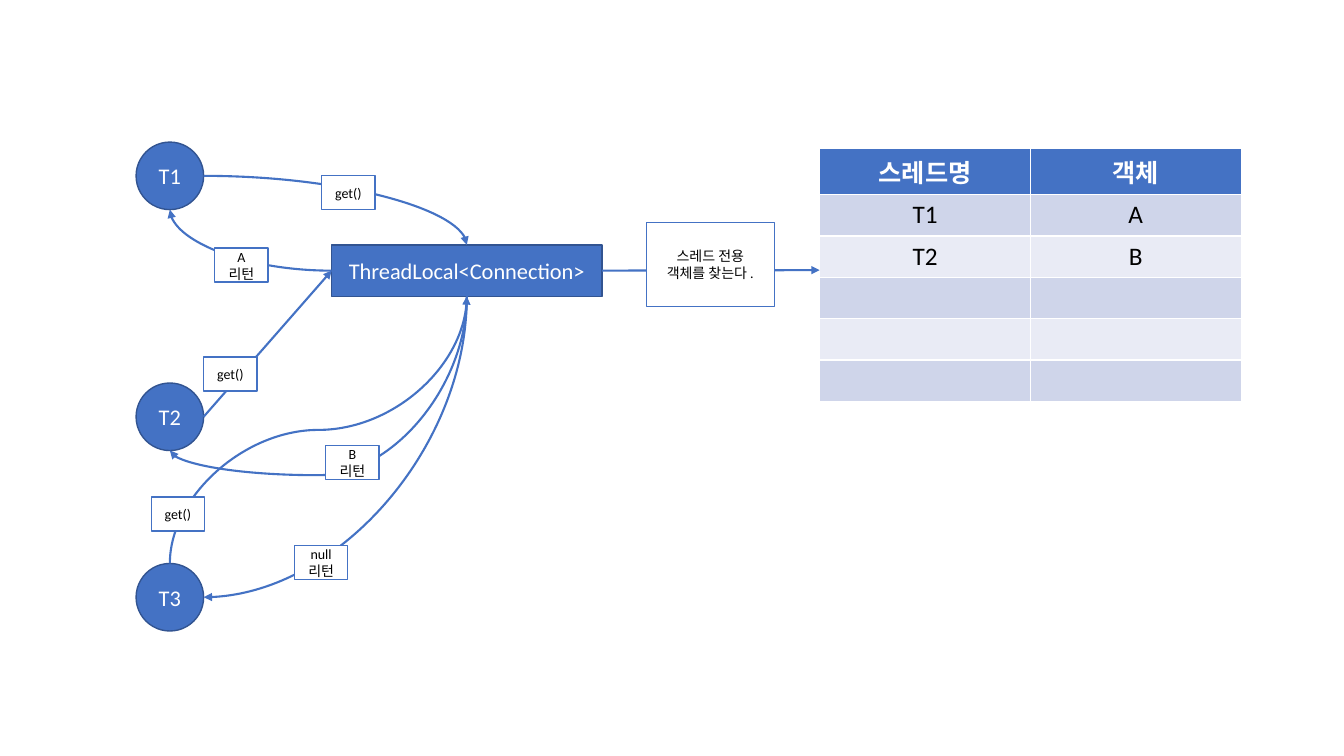
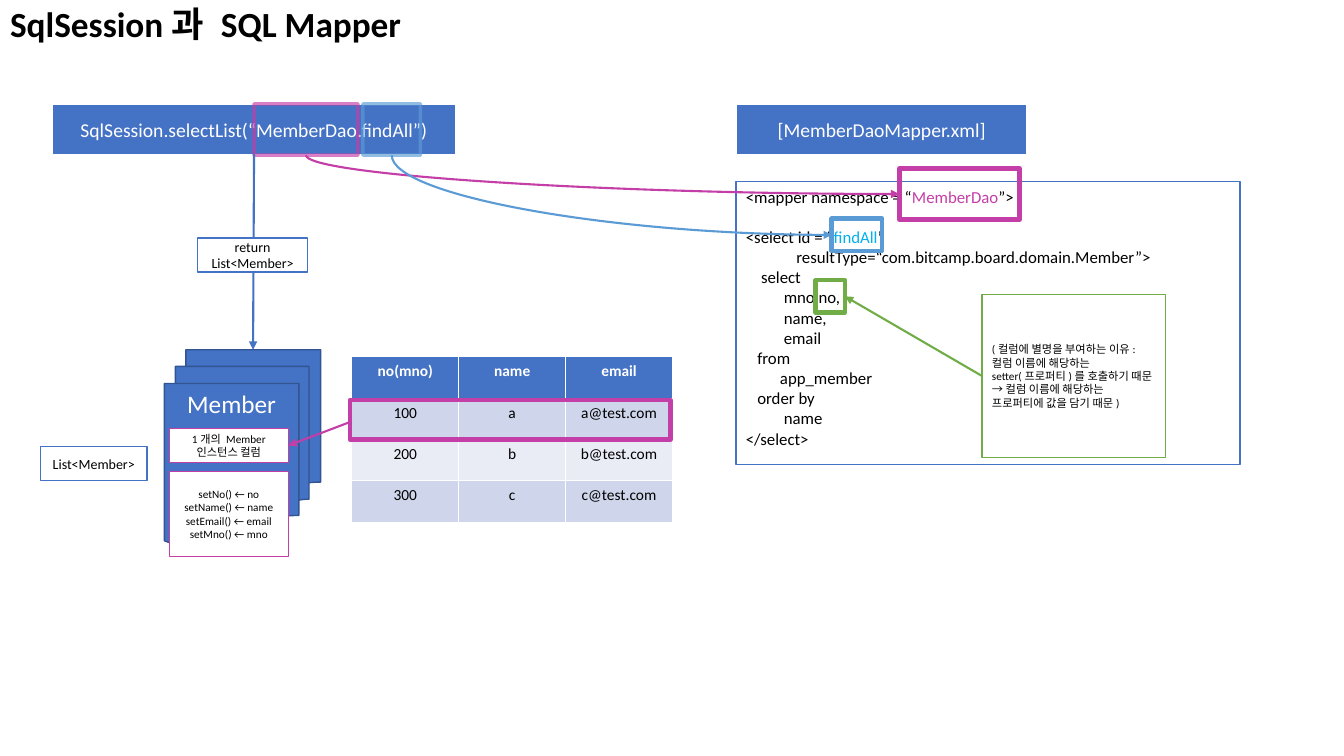
from lxml import etree
from pptx import Presentation, util as u
from pptx.dml.color import RGBColor
from pptx.enum import shapes, text
from pptx.oxml.ns import qn

PX = u.Inches(1) // 100
FONT = "Calibri"
COLORS = {
    "blue": "4472C4", "navy": "325491", "white": "FFFFFF", "black": "000000",
    "band": "CFD5EA", "pale": "E9EBF5", "pink": "C43EA7", "sky": "5B9BD5",
    "cyan": "00B0F0", "green": "70AD47",
}
SIDES = ["top", "left", "bottom", "right"]
KIND = shapes.MSO_SHAPE
ALIGN = text.PP_ALIGN
ANCHOR = text.MSO_ANCHOR


def px(*lengths):
    return [length * PX for length in lengths]


def color(name):
    return RGBColor.from_string(COLORS[name])


def style(para, size, ink, align, bold=False):
    para.alignment = align
    para.font.name = FONT
    para.font.size = u.Pt(size)
    para.font.bold = bold
    para.font.color.rgb = color(ink)


def write(frame, lines, size, ink="black", align=ALIGN.CENTER):
    for number, line in enumerate(lines):
        para = frame.add_paragraph() if number else frame.paragraphs[0]
        style(para, size, ink, align)
        for content, tint in [(line, None)] if isinstance(line, str) else line:
            span = para.add_run()
            span.text = content
            if tint:
                span.font.color.rgb = color(tint)


def add_box(page, area, lines=(), size=10, fill="white", line="blue", width=1,
            ink="black", kind=KIND.RECTANGLE, align=ALIGN.CENTER, anchor=ANCHOR.MIDDLE):
    box = page.shapes.add_shape(kind, *px(*area))
    box.shadow.inherit = False
    if fill:
        box.fill.solid()
        box.fill.fore_color.rgb = color(fill)
    else:
        box.fill.background()
    box.line.color.rgb = color(line)
    box.line.width = u.Pt(width)
    box.text_frame.vertical_anchor = anchor
    write(box.text_frame, lines, size, ink, align)
    return box


def add_frame(page, area, line, width=3.25, opacity=None):
    box = add_box(page, area, fill=None, line=line, width=width)
    if opacity:
        tint = box.line.fill._xPr.find(".//" + qn("a:srgbClr"))
        etree.SubElement(tint, qn("a:alpha"), val=str(opacity * 1000))
    return box


def add_arrow(page, start, end, line="blue", kind=shapes.MSO_CONNECTOR.STRAIGHT):
    arrow = page.shapes.add_connector(kind, *start, *end)
    arrow.line.color.rgb = color(line)
    arrow.line.width = u.Pt(1.5)
    etree.SubElement(arrow.line._get_or_add_ln(), qn("a:tailEnd"), type="triangle")
    etree.SubElement(arrow._element.spPr, qn("a:effectLst"))
    return arrow


def site(box, side):
    across = {"left": 0, "right": 2}.get(side, 1)
    down = {"top": 0, "bottom": 2}.get(side, 1)
    return box.left + box.width * across // 2, box.top + box.height * down // 2


def glue(arrow, tag, box, side):
    step = 2 if box.auto_shape_type == KIND.OVAL else 1
    etree.SubElement(arrow._element.nvCxnSpPr.cNvCxnSpPr, qn(tag),
                     id=str(box.shape_id), idx=str(SIDES.index(side) * step))


def add_curve(page, start, start_side, end, end_side, line="blue", bend=None):
    (x1, y1), (x2, y2) = site(start, start_side), site(end, end_side)
    arrow = add_arrow(page, (x1, y1), (x2, y2), line, shapes.MSO_CONNECTOR.CURVE)
    glue(arrow, "a:stCxn", start, start_side)
    glue(arrow, "a:endCxn", end, end_side)
    across, down, turn = x2 - x1, y2 - y1, 0
    if start_side in ("top", "bottom"):
        turn = 270 if across > 0 and down > 0 else 90
        sign = 1 if turn == 90 else -1
        across, down = sign * down, -sign * across
    elif across < 0 and down < 0:
        turn, across, down = 180, -across, -down
    arrow.width, arrow.height = abs(across), abs(down)
    arrow.left = (x1 + x2 - arrow.width) // 2
    arrow.top = (y1 + y2 - arrow.height) // 2
    xfrm = arrow._element.spPr.find(qn("a:xfrm"))
    xfrm.set("rot", str(turn * 60000))
    xfrm.set("flipH", str(int(across < 0)))
    xfrm.set("flipV", str(int(down < 0)))
    outline = arrow._element.spPr.find(qn("a:prstGeom"))
    if bend is None:
        outline.set("prst", "curvedConnector2")
    else:
        guides = outline.find(qn("a:avLst"))
        etree.SubElement(guides, qn("a:gd"), name="adj1", fmla=f"val {bend * 1000}")


def add_grid(page, left, top, column, row, size, rows):
    area = px(left, top, column * len(rows[0]), row * len(rows))
    table = page.shapes.add_table(len(rows), len(rows[0]), *area).table
    for number, values in enumerate(rows):
        table.rows[number].height = row * PX
        for cell, value in zip(table.rows[number].cells, values):
            head = number == 0
            cell.fill.solid()
            cell.fill.fore_color.rgb = color("blue" if head else "band" if number % 2 else "pale")
            cell.text = value
            style(cell.text_frame.paragraphs[0], size, "white" if head else "black",
                  ALIGN.CENTER, head)


def add_title(page, content):
    title = page.shapes.title
    title.left, title.top, title.width, title.height = px(0, 0, 412, 51)
    frame = title.text_frame
    frame.text = content
    frame.auto_size = text.MSO_AUTO_SIZE.NONE
    frame.vertical_anchor = ANCHOR.MIDDLE
    style(frame.paragraphs[0], 25.2, "black", ALIGN.LEFT, True)
    frame.paragraphs[0].line_spacing = 0.9


def build_thread_page(page):
    local = add_box(page, (329, 243, 268, 51), ["ThreadLocal<Connection>"], 16,
                    "blue", "navy", ink="white")
    first, second, third = [
        add_box(page, (135, top, 67, 67), [name], 16, "blue", "navy",
                ink="white", kind=KIND.OVAL)
        for name, top in (("T1", 141), ("T2", 380), ("T3", 559))]
    add_grid(page, 813, 147, 209, 41, 18,
             [["스레드명", "객체"], ["T1", "A"], ["T2", "B"]] + [["", ""]] * 3)
    add_arrow(page, site(local, "right"), px(813, 268))
    add_arrow(page, site(second, "right"), site(local, "left"))
    add_curve(page, first, "right", local, "top")
    add_curve(page, local, "left", first, "bottom")
    add_curve(page, local, "bottom", second, "bottom", bend=116)
    add_curve(page, local, "bottom", third, "right")
    add_curve(page, third, "top", local, "bottom", bend=50)
    add_box(page, (641, 221, 127, 83), ["스레드 전용 객체를 찾는다."])
    for label, left, top in (("get()", 319, 174), ("A 리턴", 213, 246), ("get()", 202, 354),
                             ("B 리턴", 323, 442), ("null 리턴", 292, 541), ("get()", 150, 493)):
        add_box(page, (left, top, 53, 34), [label])


def build_mapper_page(page):
    add_title(page, "SqlSession과 SQL Mapper")
    for label, left, width in (("SqlSession.selectList(“MemberDao.findAll”)", 52, 400),
                               ("[MemberDaoMapper.xml]", 730, 289)):
        add_box(page, (left, 103, width, 51), [label], 14, "blue", "white", 1.5, "white")
    code = add_box(page, (730, 180, 500, 281), [
        [("<mapper namespace = “", None), ("MemberDao", "pink"), ("”>", None)],
        [("<select id = “", None), ("findAll", "cyan"), ("”", None)],
        "\tresultType=“com.bitcamp.board.domain.Member”>",
        "    select",
        "          mno no,",
        "          name,",
        "          email",
        "   from",
        "         app_member",
        "   order by",
        "          name",
        "</select>",
    ], 12, align=ALIGN.LEFT, anchor=ANCHOR.TOP)
    code.text_frame.paragraphs[1].space_before = u.Pt(14.4)

    for line, source, target in (("pink", (252, 103, 103, 51), (892, 167, 119, 51)),
                                 ("sky", (360, 103, 57, 51), (825, 217, 50, 32))):
        argument = add_frame(page, source, line, 2.5, 66)
        attribute = add_frame(page, target, line)
        add_curve(page, argument, "bottom", attribute, "left", line)

    add_arrow(page, px(252, 153), px(251, 347))
    add_box(page, (196, 236, 109, 34), ["return", "List<Member>"])
    add_box(page, (163, 347, 155, 197), ["Member"], 18, "blue", "navy", ink="white",
            kind=KIND.FLOWCHART_MULTIDOCUMENT, anchor=ANCHOR.TOP)
    add_box(page, (40, 443, 106, 34), ["List<Member>"])
    add_grid(page, 349, 354, 106, 41, 11, [["no(mno)", "name", "email"]] + [
        [str(number), name, f"{name}@test.com"]
        for number, name in ((100, "a"), (200, "b"), (300, "c"))])
    add_frame(page, (347, 397, 318, 39), "pink")
    add_box(page, (168, 425, 118, 34), ["1개의 Member 인스턴스 컬럼"], 8, line="pink")
    add_arrow(page, px(349, 418), px(286, 442), "pink")
    add_box(page, (168, 468, 118, 84), [
        "setNo() ← no", "setName() ← name", "setEmail() ← email", "setMno() ← mno",
    ], 8, line="pink")
    reason = add_box(page, (974, 292, 182, 162), [
        "(컬럼에 별명을 부여하는 이유: 컬럼 이름에 해당하는 setter(프로퍼티)를 호출하기 때문 "
        "→ 컬럼 이름에 해당하는 프로퍼티에 값을 담기 때문)",
    ], 8, line="green", align=ALIGN.LEFT)
    alias = add_frame(page, (809, 278, 29, 32), "green")
    add_arrow(page, site(reason, "left"), site(alias, "right"), "green")


def main():
    deck = Presentation()
    deck.slide_width, deck.slide_height = px(1333, 750)
    title_only, blank = deck.slide_layouts[5], deck.slide_layouts[6]
    build_thread_page(deck.slides.add_slide(blank))
    build_mapper_page(deck.slides.add_slide(title_only))
    deck.save("out.pptx")


if __name__ == "__main__":
    main()
